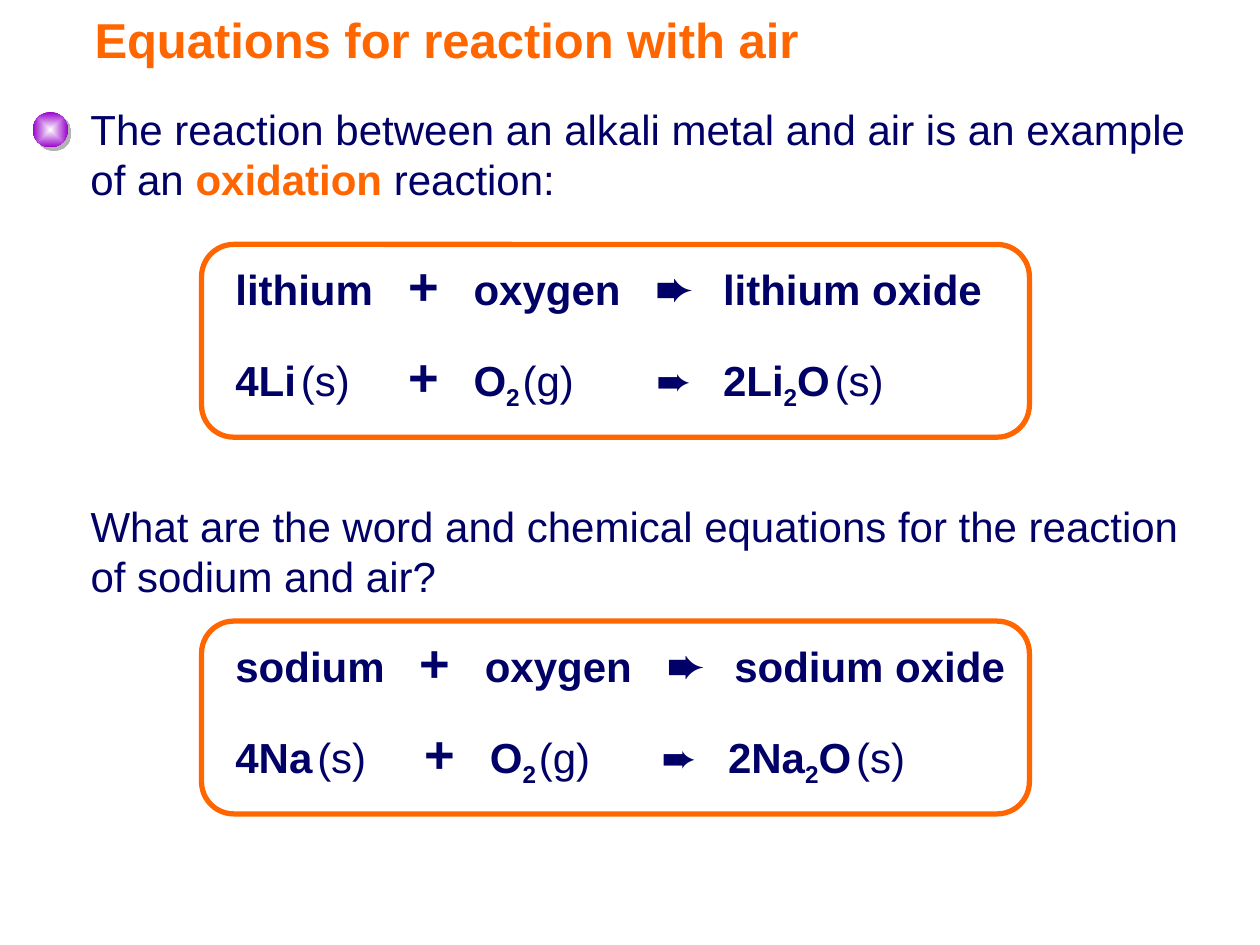
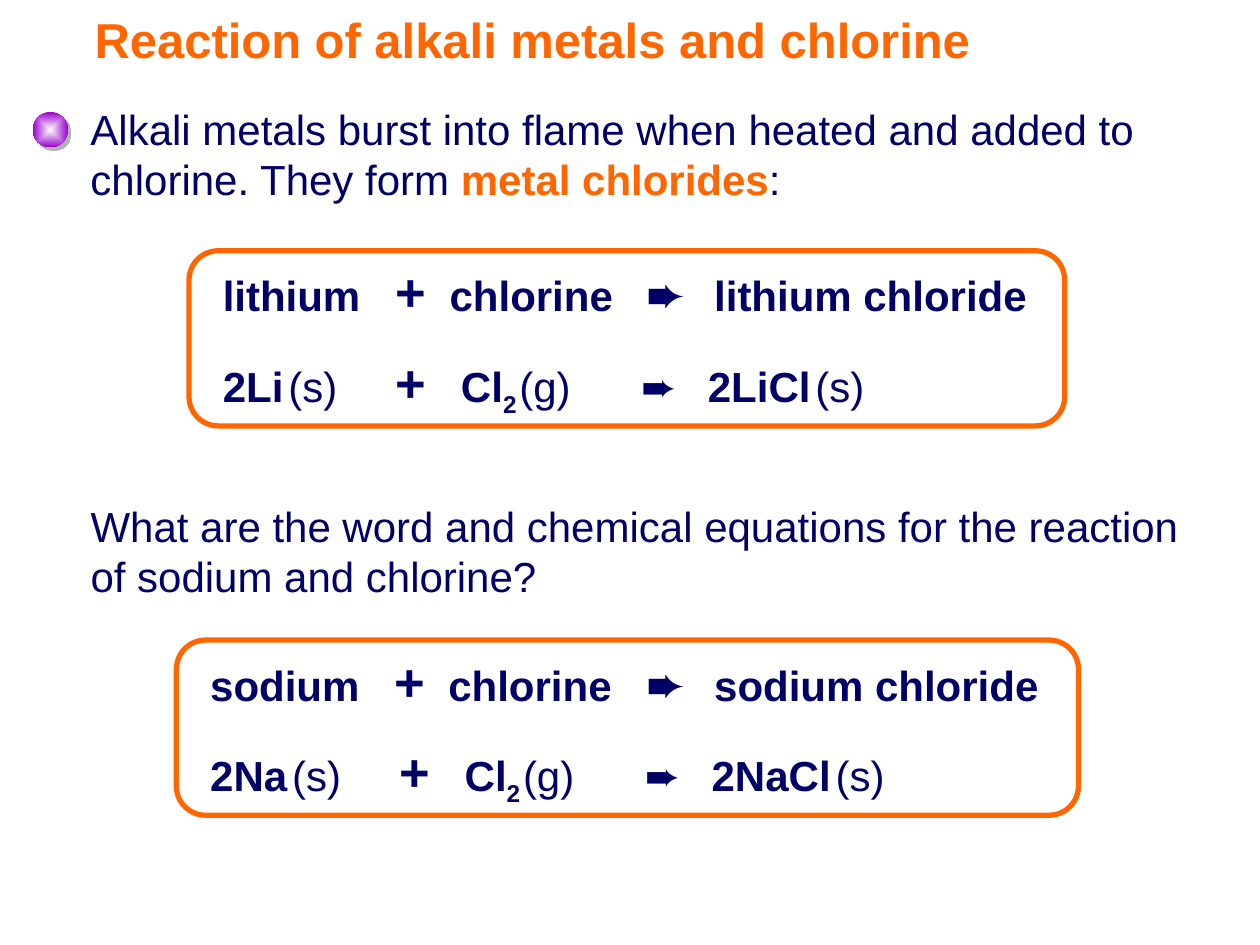
from itertools import groupby

from lxml import etree
from pptx import Presentation
from pptx import util as u
from pptx.dml.color import RGBColor
from pptx.enum import shapes, text
from pptx.oxml.ns import qn

NAVY = RGBColor(0x00, 0x00, 0x66)
ORANGE = RGBColor(0xFF, 0x66, 0x00)
PURPLE = RGBColor(0x99, 0x00, 0xCC)
WHITE = RGBColor(0xFF, 0xFF, 0xFF)

WIDTH, HEIGHT = u.Inches(10), u.Inches(7.5)
COLUMN, ROW = WIDTH / 100, HEIGHT / 75
BODY_LEFT = 6.2
EQUATION_INSET, EQUATION_STEP = 1.7, 7.2
ARROW_TO_PRODUCT = 0.53

SLIDES = [
    {
        "title": "Equations for reaction with air",
        "intro": ("The reaction between an alkali metal and air is an example of an ",
                  "oxidation", " reaction:"),
        "question": "What are the word and chemical equations for the reaction "
                    "of sodium and air?",
        "equations": [
            {"frame": (16, 19.4, 65.7, 15.3),
             "words": ("lithium", "oxygen", "lithium oxide"),
             "word_stops": (1.37, 1.89, 3.34),
             "formulas": ("4Li", "O2", "2Li2O"),
             "formula_stops": (1.37, 1.89, 3.34)},
            {"frame": (16, 49.3, 65.7, 15.3),
             "words": ("sodium", "oxygen", "sodium oxide"),
             "word_stops": (1.46, 1.98, 3.43),
             "formulas": ("4Na", "O2", "2Na2O"),
             "formula_stops": (1.5, 2.02, 3.38)},
        ],
    },
    {
        "title": "Reaction of alkali metals and chlorine",
        "intro": ("Alkali metals burst into flame when heated and added to chlorine. "
                  "They form ", "metal chlorides", ":"),
        "question": "What are the word and chemical equations for the reaction "
                    "of sodium and chlorine?",
        "equations": [
            {"frame": (15, 19.9, 69.5, 13.9),
             "words": ("lithium", "chlorine", "lithium chloride"),
             "word_stops": (1.37, 1.8, 3.37),
             "formulas": ("2Li", "Cl2", "2LiCl"),
             "formula_stops": (1.37, 1.89, 3.32)},
            {"frame": (14, 50.8, 71.6, 13.9),
             "words": ("sodium", "chlorine", "sodium chloride"),
             "word_stops": (1.46, 1.89, 3.47),
             "formulas": ("2Na", "Cl2", "2NaCl"),
             "formula_stops": (1.5, 2.02, 3.45)},
        ],
    },
]


def grid(left, top, columns, rows):
    return (round(left * COLUMN), round(top * ROW),
            round(columns * COLUMN), round(rows * ROW))


def set_font(paragraph, size, color):
    paragraph.font.name = "Arial"
    paragraph.font.size = u.Pt(size)
    paragraph.font.color.rgb = color


def add_run(paragraph, words, bold=None, size=None, color=None, font=None, subscript=False):
    run = paragraph.add_run()
    run.text = words
    run.font.bold = bold
    if size:
        run.font.size = u.Pt(size)
    if color:
        run.font.color.rgb = color
    if font:
        run.font.name = font
    if subscript:
        run.font._element.set("baseline", "-25000")


def add_line_box(slide, place):
    frame = slide.shapes.add_textbox(*grid(*place)).text_frame
    frame.word_wrap = True
    return frame.paragraphs[0]


def set_title(slide, heading):
    title = slide.shapes.title
    title.left, title.top, title.width, title.height = grid(0, 0.2, 85.4, 5.7)
    frame = title.text_frame
    frame.margin_left = u.Inches(0.75)
    frame.vertical_anchor = text.MSO_ANCHOR.MIDDLE
    frame.word_wrap = True
    paragraph = frame.paragraphs[0]
    paragraph.alignment = text.PP_ALIGN.LEFT
    set_font(paragraph, 28, ORANGE)
    paragraph.font.bold = True
    add_run(paragraph, heading, bold=True)


def add_bullet_ball(slide):
    ball = slide.shapes.add_shape(shapes.MSO_SHAPE.OVAL, *grid(2.6, 8.9, 2.8, 2.8))
    ball.line.fill.background()
    ball.fill.gradient()
    for stop, color in zip(ball.fill.gradient_stops, (WHITE, PURPLE)):
        stop.color.rgb = color
    gradient = ball._element.spPr.find(qn("a:gradFill"))
    gradient.remove(gradient.find(qn("a:lin")))
    radial = etree.SubElement(gradient, qn("a:path"), path="shape")
    etree.SubElement(radial, qn("a:fillToRect"),
                     {side: "50000" for side in "ltrb"})
    ball.shadow.inherit = False
    effects = ball._element.spPr.find(qn("a:effectLst"))
    shade = etree.SubElement(effects, qn("a:outerShdw"), dist=str(u.Pt(2.8)),
                             dir="2700000", algn="ctr", rotWithShape="0")
    etree.SubElement(shade, qn("a:srgbClr"), val="B2B2B2")


def add_intro(slide, before, key_term, after):
    paragraph = add_line_box(slide, (BODY_LEFT, 7.7, 91.4, 9))
    set_font(paragraph, 24, NAVY)
    add_run(paragraph, before)
    add_run(paragraph, key_term, bold=True, color=ORANGE)
    add_run(paragraph, after)


def add_question(slide, question):
    paragraph = add_line_box(slide, (BODY_LEFT, 39.2, 91.2, 9))
    set_font(paragraph, 24, NAVY)
    add_run(paragraph, question)


def add_word(paragraph, word, state):
    add_run(paragraph, word, bold=True)


def add_formula(paragraph, formula, state):
    subscript = False
    for position, (digits, symbols) in enumerate(groupby(formula, str.isdigit)):
        subscript = digits and position > 0
        add_run(paragraph, "".join(symbols), bold=True, subscript=subscript)
    add_run(paragraph, " ", bold=True, size=10, subscript=subscript)
    add_run(paragraph, state, bold=False)


def add_equation(slide, place, species, stops, add_species, arrow_font):
    paragraph = add_line_box(slide, place)
    tabs = etree.SubElement(paragraph._p.get_or_add_pPr(), qn("a:tabLst"))
    for stop in (*stops, stops[-1] + ARROW_TO_PRODUCT):
        etree.SubElement(tabs, qn("a:tab"), pos=str(u.Inches(stop)), algn="l")
    set_font(paragraph, 24, NAVY)
    metal, gas, product = species
    add_species(paragraph, metal, "(s)")
    add_run(paragraph, "\t", bold=True)
    add_run(paragraph, "+", bold=True, size=30)
    add_run(paragraph, "\t", bold=True)
    add_species(paragraph, gas, "(g)")
    add_run(paragraph, "\t", bold=True)
    add_run(paragraph, "➨", bold=True, font=arrow_font)
    add_run(paragraph, "\t", bold=True)
    add_species(paragraph, product, "(s)")


def add_equation_panel(slide, frame, words, word_stops, formulas, formula_stops):
    left, top, columns, rows = frame
    outline = slide.shapes.add_shape(shapes.MSO_SHAPE.ROUNDED_RECTANGLE, *grid(*frame))
    outline.shadow.inherit = False
    outline.fill.background()
    outline.line.color.rgb = ORANGE
    outline.line.width = u.Pt(3)
    text_left, text_top = left + EQUATION_INSET, top + 0.2
    add_equation(slide, (text_left, text_top, columns, 6),
                 words, word_stops, add_word, "Times New Roman")
    add_equation(slide, (text_left, text_top + EQUATION_STEP, columns, 6),
                 formulas, formula_stops, add_formula, "Arial")


def main():
    deck = Presentation()
    deck.slide_width, deck.slide_height = WIDTH, HEIGHT
    for content in SLIDES:
        slide = deck.slides.add_slide(deck.slide_layouts[5])
        set_title(slide, content["title"])
        add_bullet_ball(slide)
        add_intro(slide, *content["intro"])
        add_question(slide, content["question"])
        for equation in content["equations"]:
            add_equation_panel(slide, **equation)
    deck.save("out.pptx")


if __name__ == "__main__":
    main()
